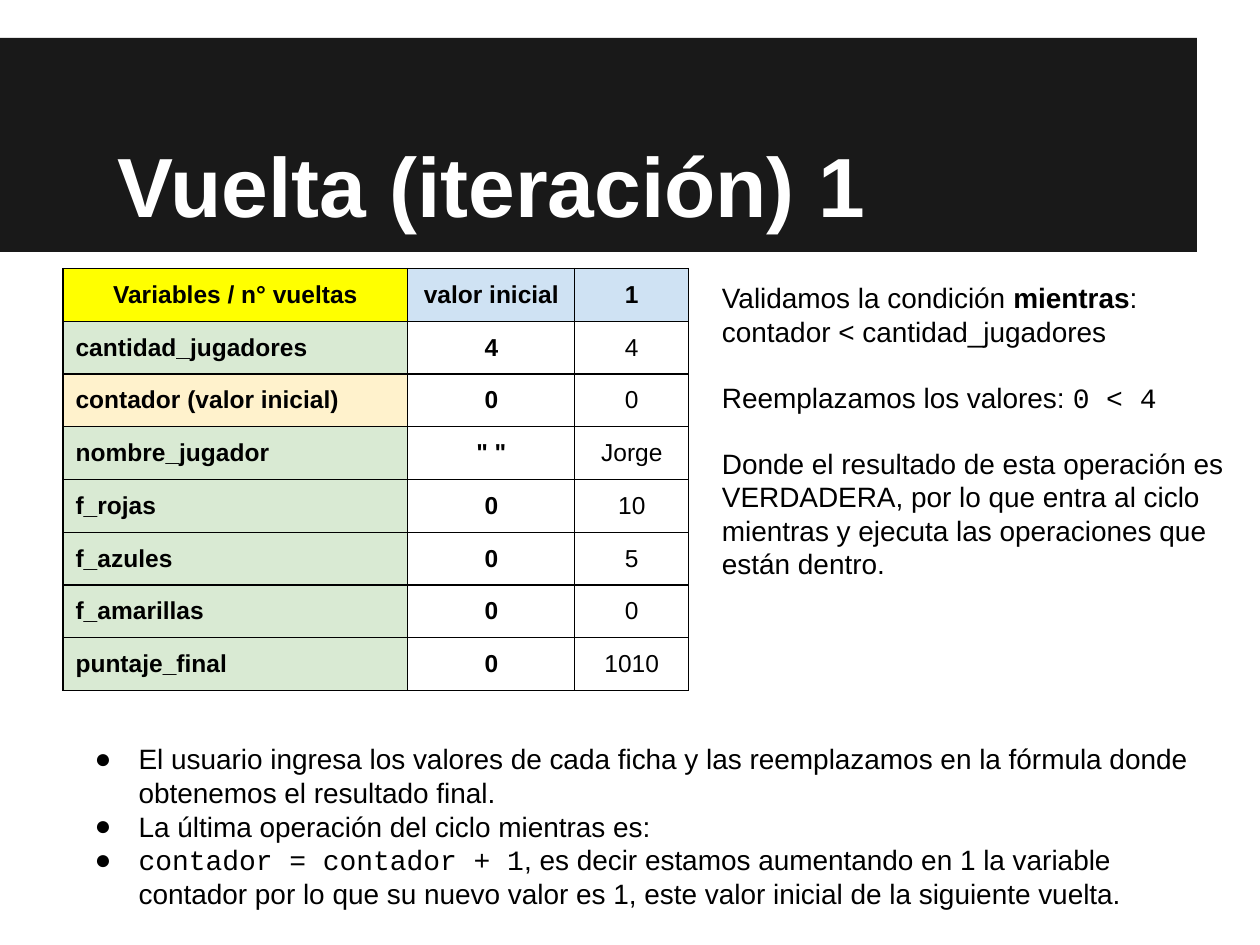
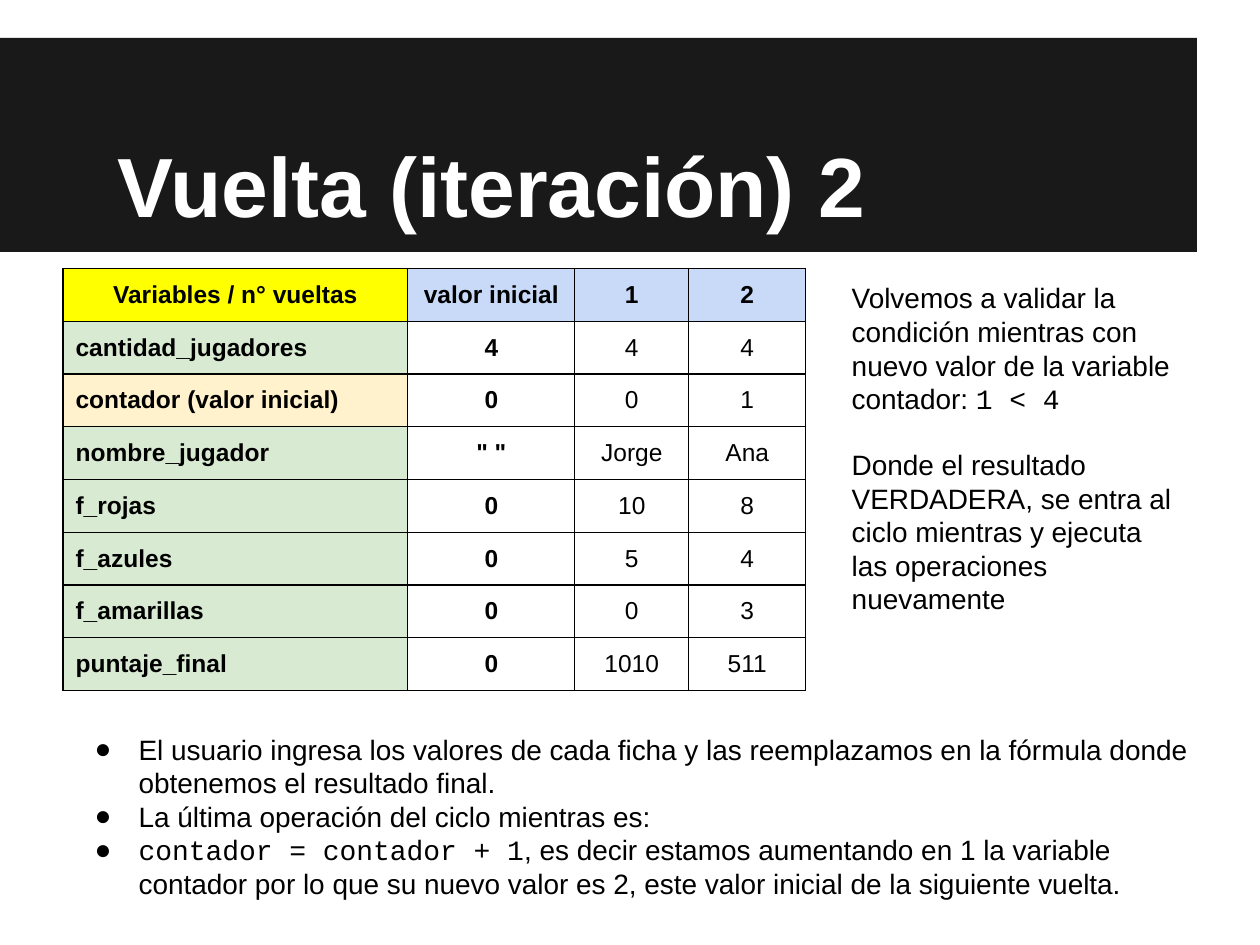
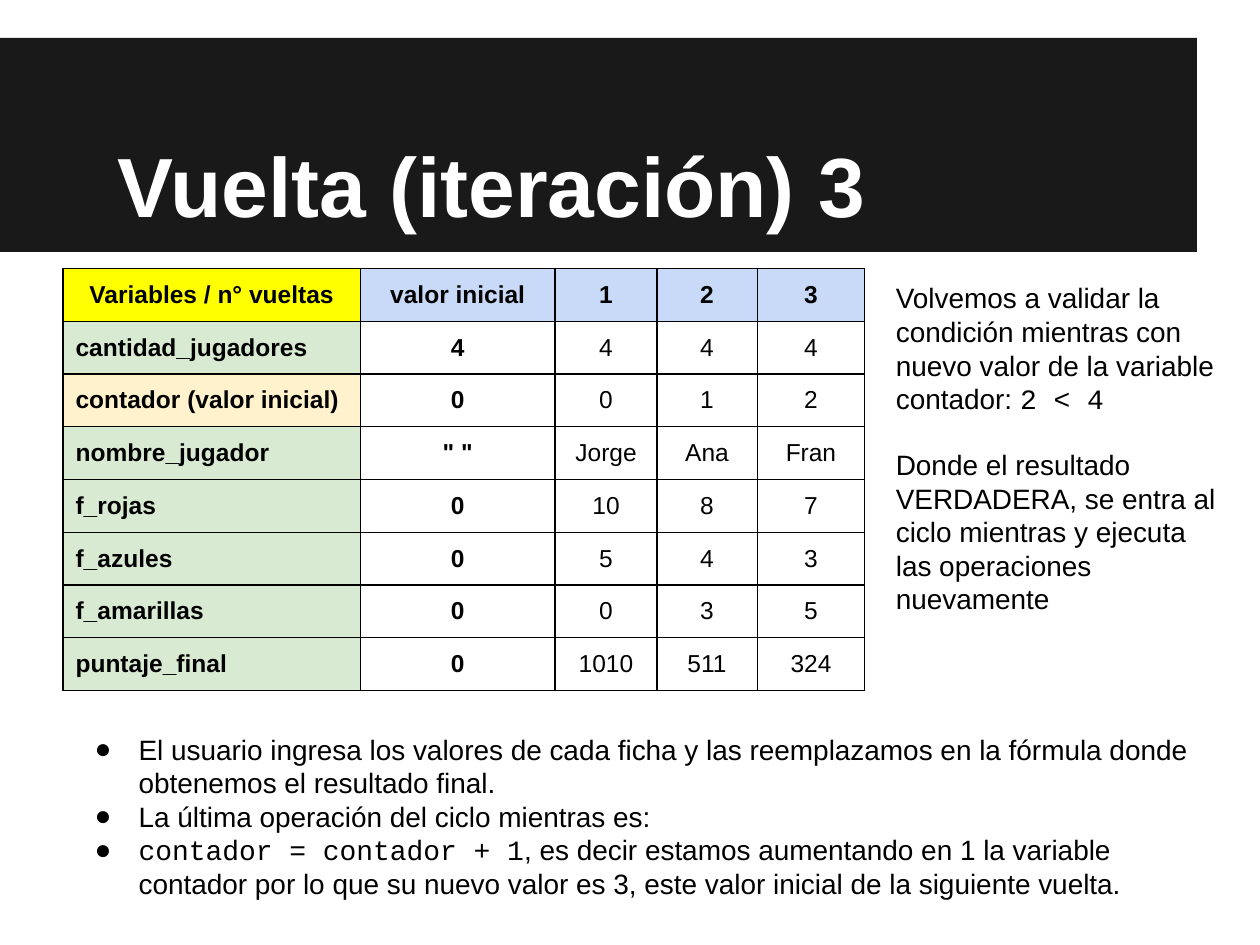
from dataclasses import dataclass

from lxml.etree import SubElement
from pptx import Presentation
from pptx.dml.color import RGBColor
from pptx.enum.shapes import MSO_SHAPE as Preset
from pptx.enum.text import MSO_ANCHOR as Anchor
from pptx.enum.text import MSO_AUTO_SIZE as AutoSize
from pptx.enum.text import PP_ALIGN as Align
from pptx.oxml.ns import qn
from pptx.util import Pt


@dataclass(frozen=True)
class Theme:
    band: str = "191919"
    title: str = "FFFFFF"
    text: str = "000000"
    corner: str = "FFFF00"
    variable: str = "D9EAD3"
    counter: str = "FFF2CC"
    sans: str = "Arial"
    mono: str = "Courier New"
    title_size: float = 48
    body_size: float = 16
    cell_size: float = 14
    inset: float = 7.2
    border: float = 0.75


@dataclass(frozen=True)
class Box:
    left: float
    top: float
    width: float
    height: float


@dataclass(frozen=True)
class Run:
    text: str
    bold: bool = False
    font: str = Theme.sans


@dataclass(frozen=True)
class Line:
    runs: tuple[Run, ...]
    space_before: float = 0
    margin: float = 0
    indent: float = 0
    bullet: str = ""


@dataclass(frozen=True)
class Lap:
    number: int
    header: str
    widths: tuple[float, ...]
    note_box: Box
    note: tuple[Line, ...]
    steps_box: Box


THEME = Theme()
BAND_BOX = Box(0, 21.6, 684, 122.4)
TITLE_BOX = Box(36, 21.6, 648, 119.5)
TABLE_LEFT, TABLE_TOP, ROW_HEIGHT = 36, 153.36, 30.15
NOTE_GAP = 18.4
LATER_STEPS_BOX = Box(36, 416, 651.6, 100.8)

VARIABLES = ("Variables / n° vueltas", "cantidad_jugadores", "contador (valor inicial)",
             "nombre_jugador", "f_rojas", "f_azules", "f_amarillas", "puntaje_final")
INITIAL_VALUES = ("valor inicial", "4", "0", '" "', "0", "0", "0", "0")
LAP_VALUES = (
    ("1", "4", "0", "Jorge", "10", "5", "0", "1010"),
    ("2", "4", "1", "Ana", "8", "4", "3", "511"),
    ("3", "4", "2", "Fran", "7", "3", "5", "324"),
)
COUNTER_ROW = 2


def later_note(counter: int) -> tuple[Line, ...]:
    return (
        Line((Run("Volvemos a validar la condición mientras con nuevo valor de la variable contador: "),
              Run(f"{counter} < 4", font=THEME.mono))),
        Line((Run("Donde el resultado VERDADERA, se entra al ciclo mientras y ejecuta "
                  "las operaciones nuevamente"),), NOTE_GAP),
    )


FIRST_NOTE = (
    Line((Run("Validamos la condición "), Run("mientras", bold=True), Run(":"))),
    Line((Run("contador < cantidad_jugadores"),)),
    Line((Run("Reemplazamos los valores: "), Run("0 < 4", font=THEME.mono)), NOTE_GAP),
    Line((Run("Donde el resultado de esta operación es VERDADERA, por lo que entra al ciclo "
              "mientras y ejecuta las operaciones que están dentro."),), NOTE_GAP),
)

LAPS = (
    Lap(1, "CFE2F3", (197.1, 95.4, 65.1), Box(405.36, 153.36, 302.4, 248.4),
        FIRST_NOTE, Box(36, 414.72, 663.84, 114.5)),
    Lap(2, "C9DAF8", (197.1, 95.4, 65.1, 66.9), Box(479.5, 153.36, 204.5, 247),
        later_note(1), LATER_STEPS_BOX),
    Lap(3, "C9DAF8", (170, 111.2, 58.3, 57.2, 61.6), Box(504.7, 153.36, 203, 247),
        later_note(2), LATER_STEPS_BOX),
)


def steps(lap: Lap) -> tuple[Line, ...]:
    contents = (
        (Run("El usuario ingresa los valores de cada ficha y las reemplazamos en la fórmula "
             "donde obtenemos el resultado final."),),
        (Run("La última operación del ciclo mientras es:"),),
        (Run("contador = contador + 1", font=THEME.mono),
         Run(", es decir estamos aumentando en 1 la variable contador por lo que su nuevo "
             f"valor es {lap.number}, este valor inicial de la siguiente vuelta.")),
    )
    return tuple(Line(runs, margin=36, indent=-25.2, bullet="●") for runs in contents)


def color(value: str) -> RGBColor:
    return RGBColor.from_string(value)


def add_run(paragraph, content: Run, size: float, ink: str) -> None:
    run = paragraph.add_run()
    run.text = content.text
    run.font.name = content.font
    run.font.size = Pt(size)
    run.font.bold = content.bold
    run.font.color.rgb = color(ink)


def format_indent(paragraph, line: Line) -> None:
    properties = paragraph._p.get_or_add_pPr()
    properties.set("marL", str(Pt(line.margin)))
    properties.set("indent", str(Pt(line.indent)))
    if line.bullet:
        bullet_color = SubElement(properties, qn("a:buClr"))
        SubElement(bullet_color, qn("a:srgbClr"), val=THEME.text)
        SubElement(properties, qn("a:buFont"), typeface=THEME.sans)
        SubElement(properties, qn("a:buChar"), char=line.bullet)
    else:
        SubElement(properties, qn("a:buNone"))


def fill_placeholder(shape, box: Box, lines: tuple[Line, ...], anchor: Anchor,
                     size: float = THEME.body_size, ink: str = THEME.text) -> None:
    shape.left, shape.top = Pt(box.left), Pt(box.top)
    shape.width, shape.height = Pt(box.width), Pt(box.height)
    frame = shape.text_frame
    frame.word_wrap = True
    frame.auto_size = AutoSize.NONE
    frame.vertical_anchor = anchor
    frame.margin_left = frame.margin_right = Pt(THEME.inset)
    frame.margin_top = frame.margin_bottom = Pt(THEME.inset)
    for index, line in enumerate(lines):
        paragraph = frame.add_paragraph() if index else frame.paragraphs[0]
        format_indent(paragraph, line)
        paragraph.alignment = Align.LEFT
        paragraph.space_before = Pt(line.space_before)
        for content in line.runs:
            add_run(paragraph, content, size, ink)


def add_borders(cell) -> None:
    properties = cell._tc.get_or_add_tcPr()
    for side in ("lnL", "lnR", "lnT", "lnB"):
        border = SubElement(properties, qn(f"a:{side}"), w=str(Pt(THEME.border)))
        fill = SubElement(border, qn("a:solidFill"))
        SubElement(fill, qn("a:srgbClr"), val=THEME.text)


def cell_fill(row: int, column: int, header: str) -> str:
    if row == 0:
        return header if column else THEME.corner
    if column:
        return ""
    return THEME.counter if row == COUNTER_ROW else THEME.variable


def format_cell(cell, text: str, row: int, column: int, header: str) -> None:
    add_borders(cell)
    fill = cell_fill(row, column, header)
    if fill:
        cell.fill.solid()
        cell.fill.fore_color.rgb = color(fill)
    else:
        cell.fill.background()
    cell.margin_left = cell.margin_right = Pt(THEME.inset)
    cell.margin_top = cell.margin_bottom = Pt(THEME.inset)
    cell.vertical_anchor = Anchor.TOP if row else Anchor.MIDDLE
    paragraph = cell.text_frame.paragraphs[0]
    paragraph.alignment = Align.LEFT if row and not column else Align.CENTER
    add_run(paragraph, Run(text, bold=row == 0 or column < 2), THEME.cell_size, THEME.text)


def add_trace_table(slide, lap: Lap) -> None:
    columns = (VARIABLES, INITIAL_VALUES, *LAP_VALUES[:lap.number])
    frame = slide.shapes.add_table(
        len(VARIABLES), len(columns), Pt(TABLE_LEFT), Pt(TABLE_TOP),
        Pt(sum(lap.widths)), Pt(ROW_HEIGHT * len(VARIABLES)))
    table = frame.table
    table.first_row = table.horz_banding = False
    for row in table.rows:
        row.height = Pt(ROW_HEIGHT)
    for column, (values, width) in enumerate(zip(columns, lap.widths)):
        table.columns[column].width = Pt(width)
        for row, text in enumerate(values):
            format_cell(table.cell(row, column), text, row, column, lap.header)


def move_band_to_layout(slide) -> None:
    band = slide.shapes.add_shape(Preset.RECTANGLE, Pt(BAND_BOX.left), Pt(BAND_BOX.top),
                                  Pt(BAND_BOX.width), Pt(BAND_BOX.height))
    band.shadow.inherit = False
    band.fill.solid()
    band.fill.fore_color.rgb = color(THEME.band)
    band.line.fill.background()
    slide.slide_layout.shapes.element.insert(2, band.element)


def build_slide(presentation, layout, lap: Lap):
    slide = presentation.slides.add_slide(layout)
    title, note, step_list = slide.placeholders
    heading = Line((Run(f"Vuelta (iteración) {lap.number}", bold=True),), indent=23.76)
    fill_placeholder(title, TITLE_BOX, (heading,), Anchor.BOTTOM, THEME.title_size, THEME.title)
    fill_placeholder(note, lap.note_box, lap.note, Anchor.TOP)
    add_trace_table(slide, lap)
    fill_placeholder(step_list, lap.steps_box, steps(lap), Anchor.MIDDLE)
    return slide


def main() -> None:
    presentation = Presentation()
    presentation.slide_width, presentation.slide_height = Pt(720), Pt(540)
    layout = presentation.slide_layouts[3]
    slides = [build_slide(presentation, layout, lap) for lap in LAPS]
    move_band_to_layout(slides[0])
    presentation.save("out.pptx")


if __name__ == "__main__":
    main()
